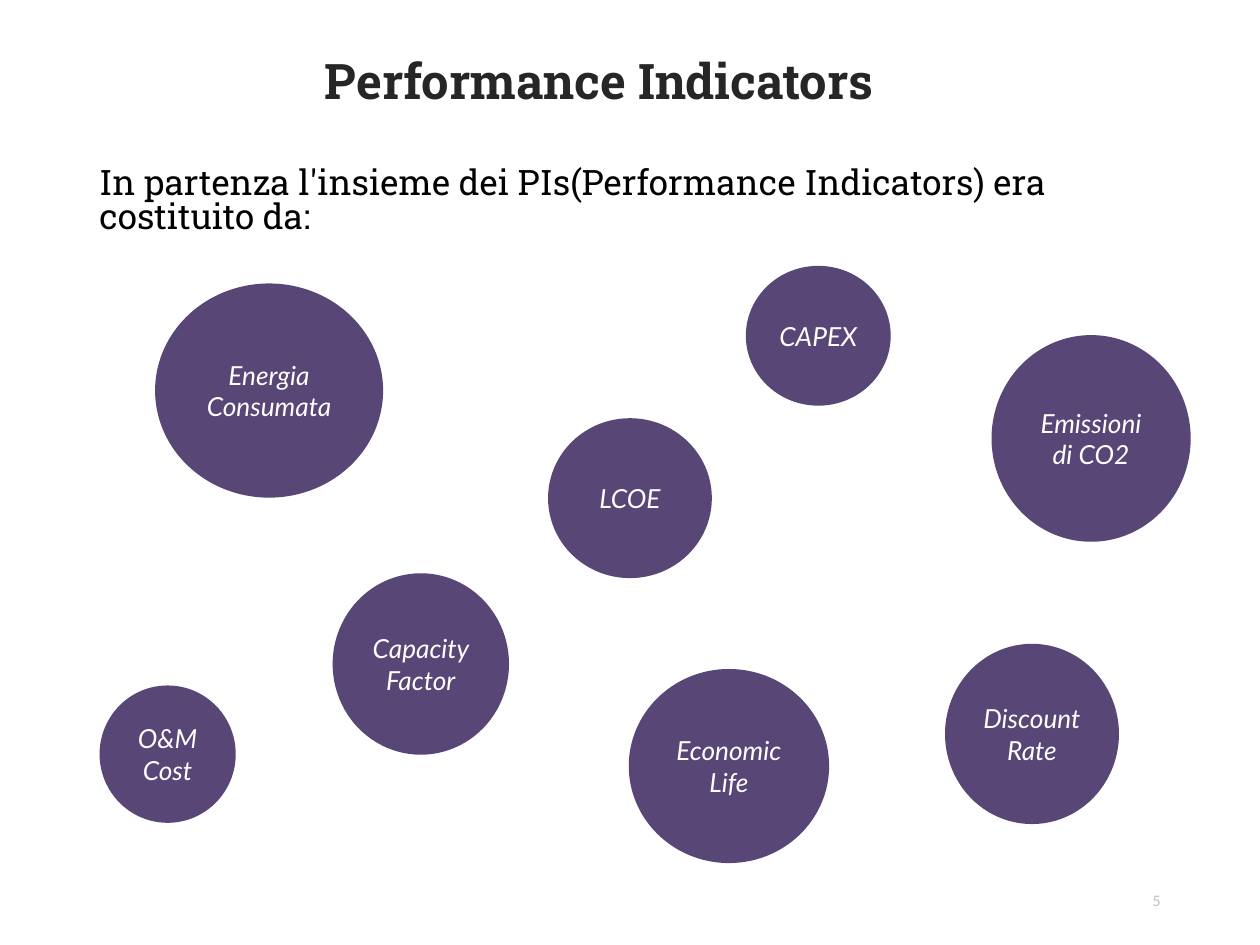
from dataclasses import dataclass

from pptx import Presentation
from pptx.dml.color import RGBColor
from pptx.enum.shapes import MSO_SHAPE
from pptx.enum.text import MSO_ANCHOR, MSO_AUTO_SIZE, PP_ALIGN
from pptx.util import Pt


@dataclass(frozen=True)
class Theme:
    """Colours, fonts and type sizes of the slide."""
    title_color: str = "262626"
    body_color: str = "000000"
    number_color: str = "BFBFBF"
    bubble_fill: str = "574676"
    bubble_text: str = "FFFFFF"
    heading_font: str = "Roboto Slab"
    label_font: str = "Lato"
    title_size: float = 28
    body_size: float = 20
    label_size: float = 15
    number_size: float = 8.2


THEME = Theme()

BUBBLES = [
    ("LCOE", (313.2, 239, 93.6, 91.4)),
    ("Discount\nRate", (540, 367.9, 99.4, 103)),
    ("Emissioni di CO2", (566.6, 191.5, 113.8, 118.1)),
    ("Energia Consumata", (88.6, 162, 130.3, 122.4)),
    ("CAPEX", (426.2, 151.9, 82.8, 79.9)),
    ("O&M Cost", (56.9, 391.7, 77.8, 78.5)),
    ("Capacity Factor", (190.1, 327.6, 100.8, 103.7)),
    ("Economic Life", (359.3, 382.3, 114.5, 110.9)),
]


def write_text(shape, text, *, font, size, color, align=PP_ALIGN.LEFT,
               anchor=MSO_ANCHOR.MIDDLE, margins=(7.2, 3.6, 7.2, 3.6),
               line_spacing=1.0, bold=False, italic=False):
    """Fill a shape with formatted text, one paragraph per line."""
    frame = shape.text_frame
    frame.text = text
    frame.word_wrap = True
    frame.auto_size = MSO_AUTO_SIZE.NONE
    frame.vertical_anchor = anchor
    frame.margin_left, frame.margin_top, frame.margin_right, frame.margin_bottom = map(Pt, margins)
    for paragraph in frame.paragraphs:
        paragraph.alignment = align
        paragraph.line_spacing = line_spacing
        paragraph.font.name = font
        paragraph.font.size = Pt(size)
        paragraph.font.bold = bold
        paragraph.font.italic = italic
        paragraph.font.color.rgb = RGBColor.from_string(color)


def place_title(slide, box, text):
    """Move and format the title placeholder."""
    title = slide.shapes.title
    title.left, title.top, title.width, title.height = map(Pt, box)
    write_text(title, text, font=THEME.heading_font, size=THEME.title_size,
               color=THEME.title_color, anchor=MSO_ANCHOR.TOP,
               margins=(136, 3.6, 7.2, 3.6), line_spacing=0.9, bold=True)


def add_introduction(slide, box, text):
    """Add the introductory sentence, resting on the bottom of its box."""
    introduction = slide.shapes.add_textbox(*map(Pt, box))
    write_text(introduction, text, font=THEME.heading_font, size=THEME.body_size,
               color=THEME.body_color, anchor=MSO_ANCHOR.BOTTOM,
               margins=(7.2, 3.6, 7.2, 0), line_spacing=0.82)


def add_page_number(slide, box, text):
    """Add the page number at the lower right."""
    number = slide.shapes.add_textbox(*map(Pt, box))
    write_text(number, text, font=THEME.label_font, size=THEME.number_size,
               color=THEME.number_color, align=PP_ALIGN.RIGHT)


def add_bubble(slide, box, text):
    """Add one round indicator with its label."""
    bubble = slide.shapes.add_shape(MSO_SHAPE.OVAL, *map(Pt, box))
    bubble.shadow.inherit = False
    bubble.fill.solid()
    bubble.fill.fore_color.rgb = RGBColor.from_string(THEME.bubble_fill)
    bubble.line.fill.background()
    write_text(bubble, text, font=THEME.label_font, size=THEME.label_size,
               color=THEME.bubble_text, align=PP_ALIGN.CENTER,
               margins=(5, 2.9, 5, 2.9), italic=True)


def main():
    """Build the slide and save it."""
    presentation = Presentation()
    presentation.slide_width, presentation.slide_height = Pt(720), Pt(540)
    slide = presentation.slides.add_slide(presentation.slide_layouts[5])
    place_title(slide, (49.7, 28.8, 620.6, 77.8), "Performance Indicators")
    add_introduction(slide, (49.7, 60.5, 620.6, 74.9),
                     "In partenza l'insieme dei PIs(Performance Indicators) era costituito da:")
    add_page_number(slide, (508.3, 500.4, 162, 28.8), "5")
    for text, box in BUBBLES:
        add_bubble(slide, box, text)
    presentation.save("out.pptx")


if __name__ == "__main__":
    main()
